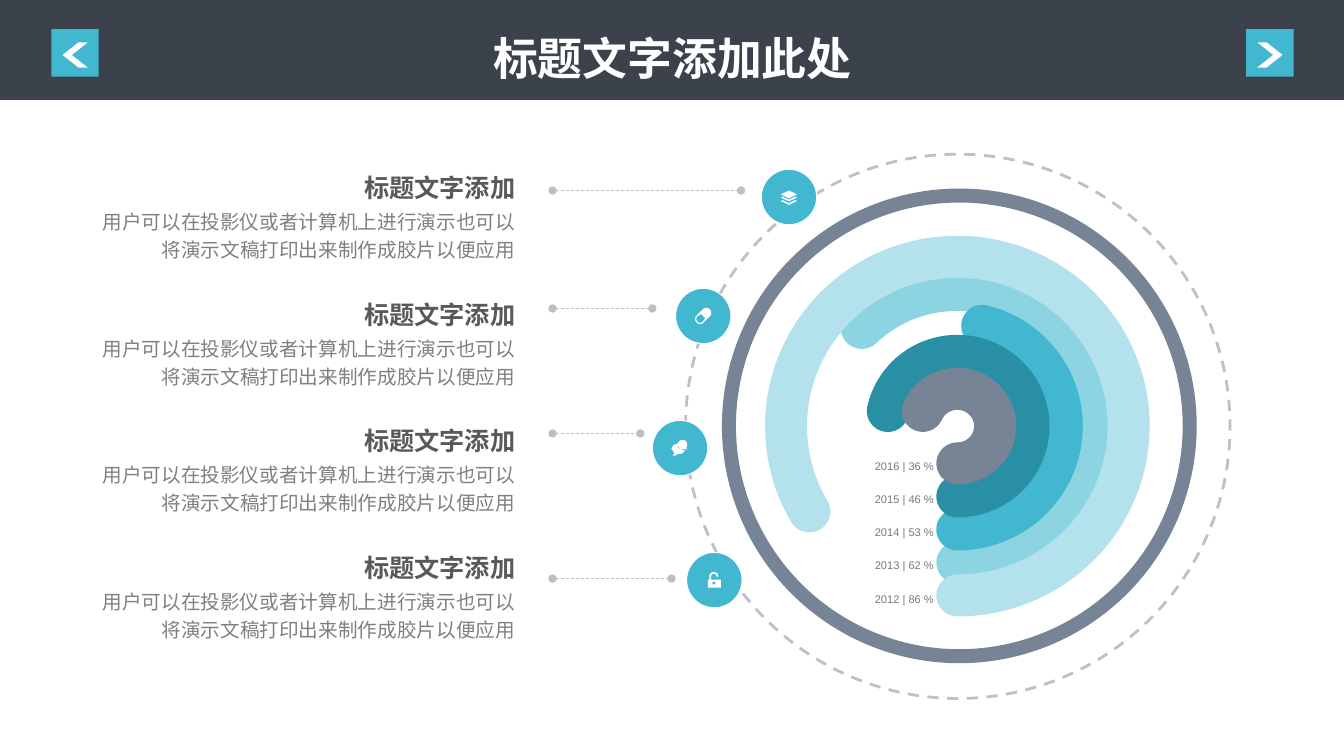
from math import cos, radians, sin

from lxml.etree import SubElement
from pptx import Presentation
from pptx.dml.color import RGBColor
from pptx.enum.dml import MSO_LINE
from pptx.enum.shapes import MSO_CONNECTOR, MSO_SHAPE
from pptx.enum.text import PP_ALIGN
from pptx.oxml.ns import qn
from pptx.util import Inches, Pt

WHITE = RGBColor(0xFF, 0xFF, 0xFF)
HEADER = RGBColor(0x3B, 0x42, 0x4B)
SLATE = RGBColor(0x77, 0x84, 0x95)
TEAL = RGBColor(0x41, 0xB7, 0xD0)
DEEP_TEAL = RGBColor(0x29, 0x8F, 0xA4)
SOFT_TEAL = RGBColor(0x8D, 0xD4, 0xE3)
PALE_TEAL = RGBColor(0xB3, 0xE2, 0xEC)
HEADING = RGBColor(0x59, 0x59, 0x59)
BODY = RGBColor(0x80, 0x80, 0x80)
LABEL = RGBColor(0x78, 0x78, 0x78)
RULE = RGBColor(0xBF, 0xBF, 0xBF)

COLS, ROWS = 133.33, 75  # square cells
BODY_TEXT = "用户可以在投影仪或者计算机上进行演示也可以将演示文稿打印出来制作成胶片以便应用"


def format_text(p, text, size, color, bold=False, align=PP_ALIGN.RIGHT, spacing=1.2):
    p.alignment, p.line_spacing = align, spacing
    r = p.add_run()
    r.text = text
    r.font.name, r.font.size, r.font.bold = "Arial", Pt(size), bold
    r.font.color.rgb = color


def arc_points(cx, cy, radius, start, end, steps=16):
    angles = [radians(start + (end - start) * i / steps) for i in range(steps + 1)]
    return [(cx + radius * cos(a), cy + radius * sin(a)) for a in angles]


class GridSlide:
    """Draws on one slide; every length is in grid columns and rows."""

    def __init__(self, prs):
        self.cell = prs.slide_height / ROWS
        self.s = prs.slides.add_slide(prs.slide_layouts[6])

    def emu(self, *cells):
        return [round(c * self.cell) for c in cells]

    def style(self, shape, fill=None, line=None, width=1):
        shape.shadow.inherit = False
        if fill is None:
            shape.fill.background()
        else:
            shape.fill.solid()
            shape.fill.fore_color.rgb = fill
        if line is None:
            shape.line.fill.background()
        else:
            shape.line.color.rgb = line
            shape.line.width = Pt(width)
        return shape

    def shape(self, kind, x, y, w, h, **look):
        sp = self.s.shapes.add_shape(kind, *self.emu(x, y, w, h))
        return self.style(sp, **look)

    def text(self, x, y, w, h, text, **look):
        tf = self.s.shapes.add_textbox(*self.emu(x, y, w, h)).text_frame
        tf.word_wrap = True
        format_text(tf.paragraphs[0], text, **look)

    def arc(self, cx, cy, w, h, start, color):
        sp = self.shape(MSO_SHAPE.ARC, cx - w / 2, cy - h / 2, w, h, line=color, width=30)
        # Arc adjustments count 0.6 per degree; every arc ends at the bottom
        sp.adjustments[0], sp.adjustments[1] = start * 0.6, 90 * 0.6
        sp.element.spPr.find(qn("a:ln")).set("cap", "rnd")

    def dotted_rule(self, x1, x2, y):
        c = self.s.shapes.add_connector(MSO_CONNECTOR.STRAIGHT, *self.emu(x1, y, x2, y))
        c.line.color.rgb, c.line.width = RULE, Pt(0.5)
        c.line.dash_style = MSO_LINE.DASH
        ln = c.element.spPr.find(qn("a:ln"))
        for end in ("a:headEnd", "a:tailEnd"):
            SubElement(ln, qn(end), type="oval")
        SubElement(c.element.spPr, qn("a:effectLst"))

    def icon(self, cx, cy, contours):
        fine = 1000  # drawing units per cell
        placed = [[((cx + x) * fine, (cy + y) * fine) for x, y in c] for c in contours]
        fb = self.s.shapes.build_freeform(*placed[0][0], scale=self.cell / fine)
        for i, points in enumerate(placed):
            if i:
                fb.move_to(*points[0])
            fb.add_line_segments(points[1:], close=True)
        self.style(fb.convert_to_shape(), fill=WHITE)

    def badge(self, x, y, contours):
        size = 5.5
        self.shape(MSO_SHAPE.OVAL, x, y, size, size, fill=TEAL, line=WHITE, width=0.75)
        self.icon(x + size / 2, y + size / 2, contours)

    def nav_button(self, x, rotation):
        self.shape(MSO_SHAPE.RECTANGLE, x, 2.9, 4.7, 4.7, fill=TEAL)
        sp = self.shape(MSO_SHAPE.CHEVRON, x + 1.1, 4.2, 2.5, 2.5, fill=WHITE)
        sp.adjustments[0] = 0.63
        sp.rotation = rotation


# Icon outlines, measured from the badge centre
BAND = [(-0.8, 0.05), (-0.65, -0.05), (0, 0.25), (0.65, -0.05), (0.8, 0.05), (0, 0.42)]
LAYERS = [[(-0.8, -0.27), (0, -0.65), (0.8, -0.27), (0, 0.12)],
          BAND, [(x, y + 0.35) for x, y in BAND]]
PILL = [arc_points(-0.3, 0.3, 0.5, 45, 225) + arc_points(0.3, -0.3, 0.5, 225, 405),
        arc_points(-0.3, 0.3, 0.38, 45, 225) + [(-0.2, -0.2), (0.2, 0.2)]]
CHAT = [arc_points(0.25, -0.35, 0.47, 110, 390) + [(0.65, 0.15), (0.35, 0.1)],
        [(-0.25, -0.45), (-0.65, -0.3), (-0.85, 0.05), (-0.55, 0.55), (-0.75, 0.75),
         (-0.45, 0.75), (-0.25, 0.6), (0.2, 0.55), (0.5, 0.25), (0.2, 0.15), (-0.2, 0)]]
LOCK = [[(-0.65, -0.05), (0.65, -0.05), (0.65, 0.75), (-0.65, 0.75)],
        arc_points(-0.05, 0.3, 0.15, 0, 360),
        [(-0.5, -0.05)] + arc_points(-0.05, -0.35, 0.45, 180, 360)
        + arc_points(-0.05, -0.35, 0.27, 360, 180) + [(-0.32, -0.05)]]


def main():
    prs = Presentation()
    prs.slide_width, prs.slide_height = Inches(13.33), Inches(7.5)
    g = GridSlide(prs)

    # Outer rings
    dashed = g.shape(MSO_SHAPE.OVAL, 68, 15.3, 54, 54, line=SLATE, width=2)
    dashed.line.dash_style = MSO_LINE.DASH
    color = dashed.element.spPr.find(qn("a:ln")).find(".//" + qn("a:srgbClr"))
    SubElement(color, qn("a:alpha"), val="50000")
    g.shape(MSO_SHAPE.OVAL, 72.3, 19.4, 45.7, 45.7, fill=WHITE, line=SLATE, width=10)

    # Radial bars: ring number from the centre, start angle, colour
    for ring, start, color in [(3, 225.77, SOFT_TEAL), (2, 283.94, TEAL),
                               (1, 192.3, DEEP_TEAL), (4, 150.01, PALE_TEAL),
                               (0, 203.72, SLATE)]:
        g.arc(94.95, 42.28, 7.5 + 6.62 * ring, 7.4 + 6.55 * ring, start, color)

    # Year labels
    for i, share in enumerate((36, 46, 53, 62, 86)):
        g.text(81, 45.2 + 3.3 * i, 12.6, 2.3, f"{2016 - i} | {share} %",
               size=7.9, color=LABEL, spacing=0.9)

    # Captions with their rules and badges
    items = [(73.5, 18.9, 75.5, 16.8, LAYERS), (64.7, 30.6, 67, 28.6, PILL),
             (63.5, 43, 64.7, 41.7, CHAT), (66.6, 57.4, 68.1, 54.8, LOCK)]
    for i, (rule_end, rule_y, badge_x, badge_y, outline) in enumerate(items):
        top = 16 + 12.57 * i
        g.text(9.1, top + 3.85, 43, 6.7, BODY_TEXT, size=14, color=BODY)
        g.text(27.6, top, 24.5, 4.6, "标题文字添加", size=18, color=HEADING, bold=True)
        g.dotted_rule(54.8, rule_end, rule_y)
        g.badge(badge_x, badge_y, outline)

    # Header
    g.shape(MSO_SHAPE.RECTANGLE, 0, 0, COLS, 9.9, fill=HEADER)
    g.text(40.4, 1.5, 52.6, 7.5, "标题文字添加此处", size=32, color=WHITE,
           bold=True, align=PP_ALIGN.CENTER)
    g.nav_button(5.1, 180)
    g.nav_button(123.6, 0)

    prs.save("out.pptx")


if __name__ == "__main__":
    main()
